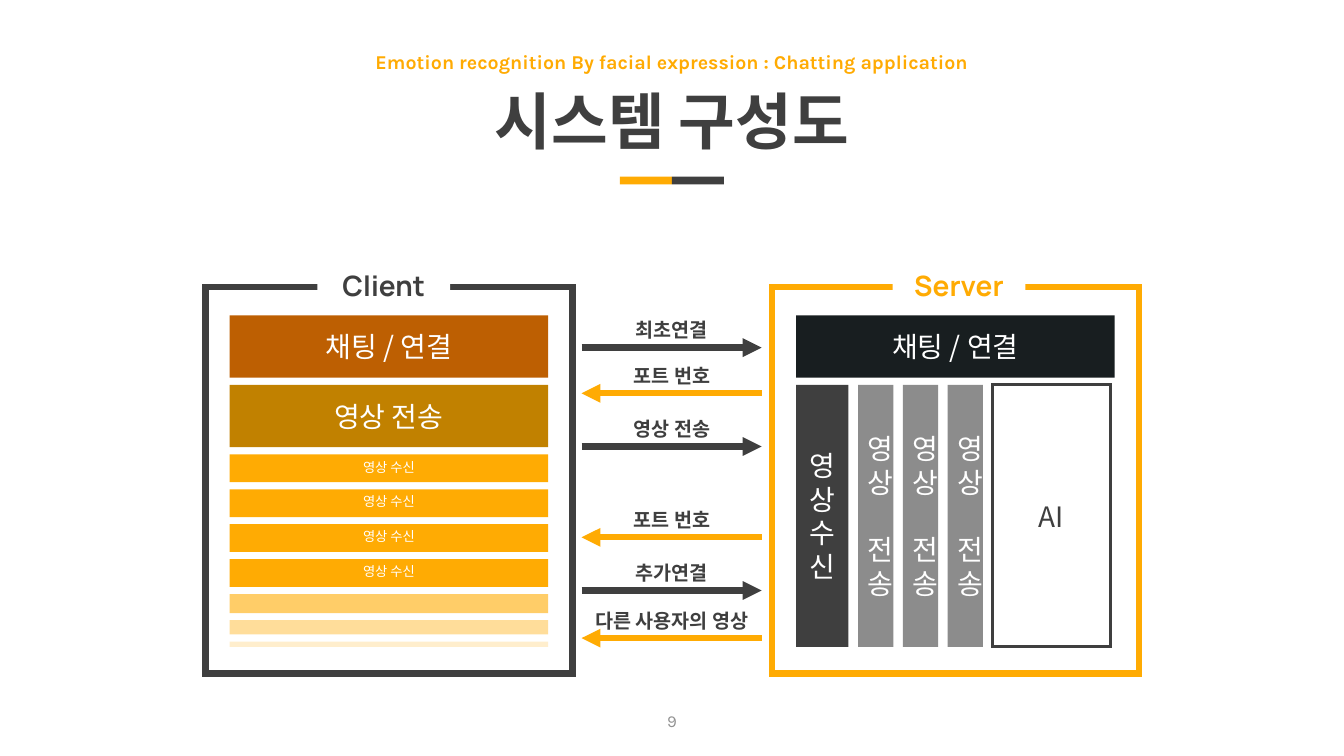
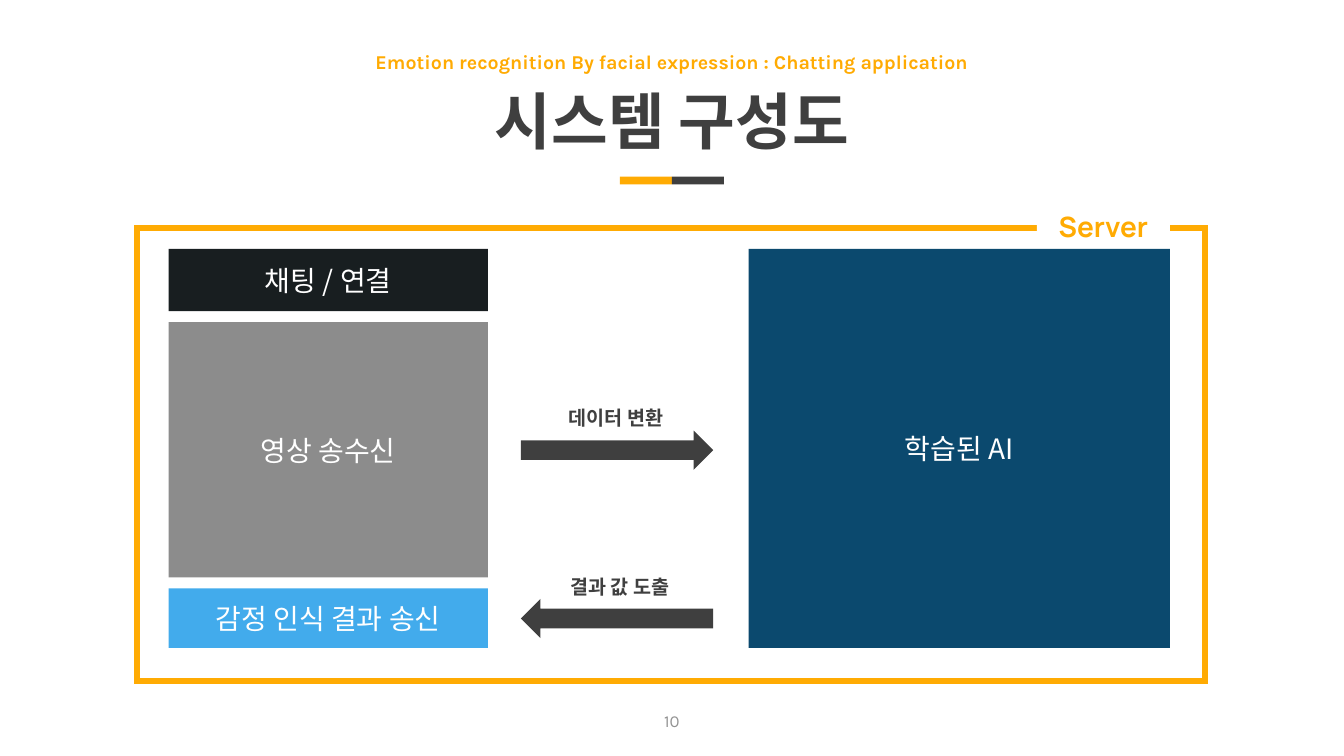
"""Build the two system architecture slides."""
from dataclasses import dataclass
from typing import NamedTuple, Optional

from lxml.etree import SubElement
from pptx import Presentation
from pptx.dml.color import RGBColor
from pptx.enum.shapes import MSO_CONNECTOR as Connector, MSO_SHAPE as Preset
from pptx.enum.text import MSO_ANCHOR as Anchor, MSO_AUTO_SIZE as AutoSize, PP_ALIGN as Align
from pptx.oxml.ns import qn
from pptx.util import Cm, Pt

AMBER, CHARCOAL, WHITE, BLACK = "FFAB03", "3F3F3F", "FFFFFF", "181E20"
GRAY, PAGE_GRAY = "8C8C8C", "929292"
KOREAN, HEADING, LATIN = "Noto Sans CJK KR", "Manrope", "Karla"
SLIDE_WIDTH, SLIDE_HEIGHT = 33.88, 19.05
CENTER = SLIDE_WIDTH / 2
FRAME_WIDTH = 4.5
SUBTITLE = "Emotion recognition By facial expression : Chatting application"
TITLE = "시스템 구성도"


class Box(NamedTuple):
    """Position and size in centimetres."""
    left: float
    top: float
    width: float
    height: float


class TextStyle(NamedTuple):
    """Look of one paragraph."""
    size: float
    color: str
    font: str = KOREAN
    bold: bool = False
    spacing: float = 1.0


TITLE_STYLE = TextStyle(44, CHARCOAL, bold=True, spacing=0.9)
SUBTITLE_STYLE = TextStyle(14, AMBER, LATIN, True, 0.9)
PAGE_STYLE = TextStyle(12, PAGE_GRAY, LATIN)
BLOCK_STYLE = TextStyle(20, WHITE)
SMALL_STYLE = TextStyle(9.5, WHITE, spacing=0.8)
LABEL_STYLE = TextStyle(14, CHARCOAL, HEADING, True)


@dataclass(frozen=True)
class Frame:
    """Outlined area with a name set into its top edge."""
    name: str
    box: Box
    name_left: float
    color: str


@dataclass(frozen=True)
class Block:
    """Filled block; extent is its length along the stack."""
    extent: float
    fill: str
    text: str = ""
    style: TextStyle = BLOCK_STYLE
    outline: Optional[str] = None


@dataclass(frozen=True)
class Message:
    """Labelled arrow between client and server."""
    text: str
    top: float
    to_server: bool
    label_width: float = 5.03


@dataclass(frozen=True)
class BlockArrow:
    """Thick arrow with a label above."""
    preset: Preset
    top: float
    text: str
    label_left: float


CLIENT = Frame("Client", Box(5.18, 7.24, 9.25, 9.73), 8.0, CHARCOAL)
SERVER = Frame("Server", Box(19.46, 7.24, 9.25, 9.73), 22.5, AMBER)
WIDE_SERVER = Frame("Server", Box(3.45, 5.74, 26.92, 11.43), 26.14, AMBER)

CLIENT_BLOCKS = [
    Block(1.57, "BD5F02", "채팅 / 연결"),
    Block(1.57, "C18100", "영상 전송"),
    *[Block(0.7, AMBER, "영상 수신", SMALL_STYLE)] * 4,
    Block(0.48, "FFCD68"),
    Block(0.36, "FFDD9A"),
    Block(0.13, "FFEECD"),
]
CHAT_BLOCK = Block(1.57, BLACK, "채팅 / 연결")
SERVER_COLUMNS = [
    Block(1.32, CHARCOAL, "영상 수신"),
    *[Block(0.89, GRAY, "영상 전송")] * 3,
    Block(2.97, WHITE, "AI", TextStyle(20, CHARCOAL), CHARCOAL),
]
MESSAGES = [
    Message("최초연결", 8.76, True),
    Message("포트 번호", 9.91, False),
    Message("영상 전송", 11.25, True),
    Message("포트 번호", 13.54, False),
    Message("추가연결", 14.88, True),
    Message("다른 사용자의 영상", 16.08, False, 6.25),
]
PIPELINE_BLOCKS = [
    CHAT_BLOCK,
    Block(6.43, GRAY, "영상 송수신"),
    Block(1.5, "42ABEC", "감정 인식 결과 송신"),
]
MODEL_BLOCK = Block(10.06, "0B496E", "학습된 AI")
BLOCK_ARROWS = [
    BlockArrow(Preset.RIGHT_ARROW, 10.85, "데이터 변환", 12.7),
    BlockArrow(Preset.LEFT_ARROW, 15.09, "결과 값 도출", 12.8),
]


def paint(fill, color: str) -> None:
    """Give a fill one solid colour."""
    fill.solid()
    fill.fore_color.rgb = RGBColor.from_string(color)


def lengths(box: Box) -> list:
    """Convert a box to slide lengths."""
    return [Cm(value) for value in box]


def write(shape, text: str, style: TextStyle, anchor=Anchor.MIDDLE,
          auto_size=AutoSize.NONE) -> None:
    """Write one centred paragraph into a shape."""
    frame = shape.text_frame
    frame.word_wrap = True
    frame.auto_size = auto_size
    frame.vertical_anchor = anchor
    paragraph = frame.paragraphs[0]
    paragraph.alignment = Align.CENTER
    paragraph.line_spacing = style.spacing
    paragraph.space_before = Pt(0)
    run = paragraph.add_run()
    run.text = text
    run.font.size = Pt(style.size)
    run.font.bold = style.bold
    paint(run.font.fill, style.color)
    run.font.name = style.font
    SubElement(run.font._element, qn("a:ea"), typeface=KOREAN)


def add_shape(slide, box: Box, fill: Optional[str] = None,
              outline: Optional[str] = None, weight: float = 2.25,
              preset=Preset.RECTANGLE):
    """Add a flat preset shape."""
    shape = slide.shapes.add_shape(preset, *lengths(box))
    shape.shadow.inherit = False
    if fill:
        paint(shape.fill, fill)
    else:
        shape.fill.background()
    if outline:
        paint(shape.line.fill, outline)
        shape.line.width = Pt(weight)
        line = shape.element.spPr.find(qn("a:ln"))
        SubElement(line, qn("a:miter"), lim="800000")
    else:
        shape.line.fill.background()
    return shape


def add_label(slide, box: Box, text: str) -> None:
    """Add an arrow label."""
    label = slide.shapes.add_textbox(*lengths(box))
    write(label, text, LABEL_STYLE, Anchor.TOP, AutoSize.SHAPE_TO_FIT_TEXT)


def add_block(slide, box: Box, block: Block) -> None:
    """Add a block with its text, if any."""
    shape = add_shape(slide, box, block.fill, block.outline)
    if block.text:
        write(shape, block.text, block.style)


def add_rows(slide, left: float, top: float, width: float, gap: float,
             blocks: list[Block]) -> None:
    """Stack blocks downwards with equal gaps."""
    for block in blocks:
        add_block(slide, Box(left, top, width, block.extent), block)
        top += block.extent + gap


def add_columns(slide, left: float, top: float, height: float, gap: float,
                blocks: list[Block]) -> None:
    """Line blocks up rightwards with equal gaps."""
    for block in blocks:
        add_block(slide, Box(left, top, block.extent, height), block)
        left += block.extent + gap


def add_frame(slide, frame: Frame) -> None:
    """Add a frame and the name on its edge."""
    add_shape(slide, frame.box, outline=frame.color, weight=FRAME_WIDTH)
    name_box = Box(frame.name_left, frame.box.top - 0.52, 3.35, 1.07)
    name = add_shape(slide, name_box, WHITE)
    write(name, frame.name, TextStyle(20, frame.color, HEADING, True, 0.9))


def add_message(slide, message: Message) -> None:
    """Add a labelled line arrow."""
    ends = (14.66, 19.2) if message.to_server else (19.2, 14.66)
    top = Cm(message.top)
    arrow = slide.shapes.add_connector(
        Connector.STRAIGHT, Cm(ends[0]), top, Cm(ends[1]), top)
    paint(arrow.line.fill, CHARCOAL if message.to_server else AMBER)
    arrow.line.width = Pt(FRAME_WIDTH)
    properties = arrow._element.spPr
    SubElement(properties.find(qn("a:ln")), qn("a:tailEnd"), type="triangle")
    SubElement(properties, qn("a:effectLst"))
    left = CENTER - message.label_width / 2
    add_label(slide, Box(left, message.top - 0.87, message.label_width, 0.86), message.text)


def add_block_arrow(slide, arrow: BlockArrow) -> None:
    """Add a labelled block arrow."""
    add_shape(slide, Box(13.13, arrow.top, 4.85, 0.99), CHARCOAL, preset=arrow.preset)
    add_label(slide, Box(arrow.label_left, arrow.top - 0.74, 5.66, 0.86), arrow.text)


def add_slide(presentation, page: int):
    """Add a slide with heading, accent bars and page number."""
    slide = presentation.slides.add_slide(presentation.slide_layouts[2])
    title, subtitle = slide.placeholders
    for shape, box, text, style in (
            (title, Box(2.34, 1.6, 29.2, 3.07), TITLE, TITLE_STYLE),
            (subtitle, Box(2.34, 1.09, 29.2, 1.02), SUBTITLE, SUBTITLE_STYLE)):
        shape.left, shape.top, shape.width, shape.height = lengths(box)
        write(shape, text, style)
    for left, color in ((CENTER - 1.31, AMBER), (CENTER, CHARCOAL)):
        add_shape(slide, Box(left, 4.45, 1.31, 0.2), color)
    number = slide.shapes.add_textbox(*lengths(Box(CENTER - 3.81, 17.65, 7.62, 1.02)))
    write(number, str(page), PAGE_STYLE)
    return slide


def build_connection_slide(presentation) -> None:
    """Draw client, server and the messages between them."""
    slide = add_slide(presentation, 9)
    for frame in (CLIENT, SERVER):
        add_frame(slide, frame)
    add_rows(slide, 5.79, 7.95, 8.03, 0.18, CLIENT_BLOCKS)
    add_rows(slide, 20.07, 7.95, 8.03, 0.18, [CHAT_BLOCK])
    add_columns(slide, 20.07, 9.7, 6.6, 0.24, SERVER_COLUMNS)
    for message in MESSAGES:
        add_message(slide, message)


def build_server_slide(presentation) -> None:
    """Draw the inside of the server."""
    slide = add_slide(presentation, 10)
    add_frame(slide, WIDE_SERVER)
    add_rows(slide, 4.25, 6.27, 8.05, 0.28, PIPELINE_BLOCKS)
    add_rows(slide, 18.87, 6.27, 10.62, 0, [MODEL_BLOCK])
    for arrow in BLOCK_ARROWS:
        add_block_arrow(slide, arrow)


def main() -> None:
    """Build and save the presentation."""
    presentation = Presentation()
    presentation.slide_width = Cm(SLIDE_WIDTH)
    presentation.slide_height = Cm(SLIDE_HEIGHT)
    build_connection_slide(presentation)
    build_server_slide(presentation)
    presentation.save("out.pptx")


if __name__ == "__main__":
    main()
